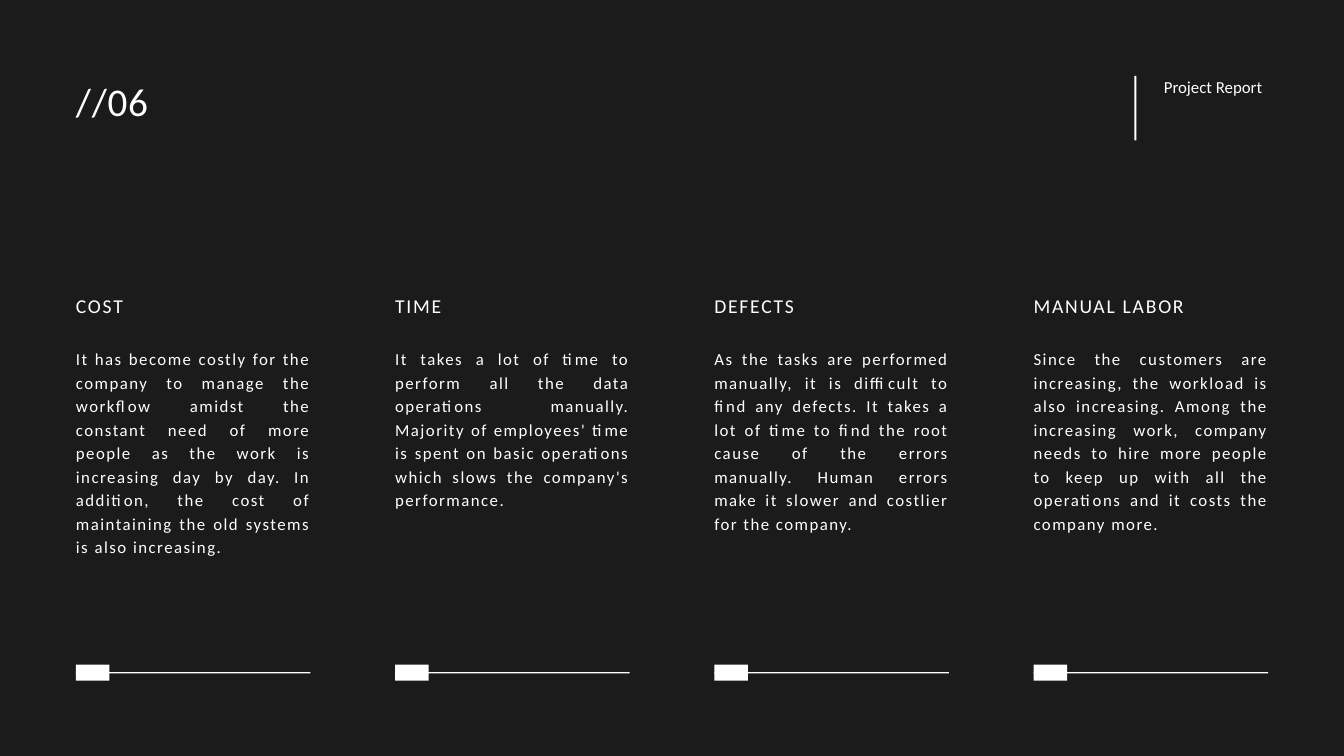
from pptx import Presentation
from pptx.dml.color import RGBColor as Rgb
from pptx.enum.shapes import MSO_SHAPE as Shape
from pptx.enum.text import MSO_ANCHOR as Anchor, MSO_AUTO_SIZE as Fit, PP_ALIGN as Align
from pptx.util import Inches, Pt

COLS = [
    ("COST", 3.51, "It has become costly for the company to manage the workflow amidst the constant need of more people as the work is increasing day by day. In addition, the cost of maintaining the old systems is also increasing."),
    ("TIME", 2.73, "It takes a lot of time to perform all the data operations manually. Majority of employees' time is spent on basic operations which slows the company's performance."),
    ("DEFECTS", 3.48, "As the tasks are performed manually, it is difficult to find any defects. It takes a lot of time to find the root cause of the errors manually. Human errors make it slower and costlier for the company."),
    ("MANUAL LABOR", 3.16, "Since the customers are increasing, the workload is also increasing. Among the increasing work, company needs to hire more people to keep up with all the operations and it costs the company more."),
]
LEFT, STEP, WIDE = 1.13, 4.75, 3.49


def color(code):
    return Rgb.from_string(code)


def apply(item, values):
    for name, value in values.items():
        setattr(item, name, value)


class Deck:
    ink, back, face, lead = "FFFFFF", "1B1B1B", "Calibri", 1.4
    frame = dict(margin_left=0, margin_right=0, margin_top=0, margin_bottom=0,
                 word_wrap=True, auto_size=Fit.NONE, vertical_anchor=Anchor.TOP)

    def __init__(self, slide):
        self.slide = slide
        fill = slide.background.fill
        fill.solid()
        fill.fore_color.rgb = color(self.back)

    def label(self, shape, text, size, gap=0, align=Align.LEFT):
        apply(shape.text_frame, self.frame)
        para = shape.text_frame.paragraphs[0]
        apply(para, dict(alignment=align, line_spacing=Pt(size * self.lead),
                         space_before=Pt(0)))
        run = para.add_run()
        run.text = text
        apply(run.font, dict(name=self.face, size=Pt(size), bold=False))
        run.font.color.rgb = color(self.ink)
        if gap:
            run._r.get_or_add_rPr().set("spc", str(round(gap * 100)))

    def title(self, box, text, size, gap):
        shape = self.slide.shapes.title
        apply(shape, dict(zip(("left", "top", "width", "height"), map(Inches, box))))
        self.label(shape, text, size, gap)

    def text(self, box, *args):
        self.label(self.slide.shapes.add_textbox(*map(Inches, box)), *args)

    def bar(self, *box):
        shape = self.slide.shapes.add_shape(Shape.RECTANGLE, *map(Inches, box))
        shape.shadow.inherit = False
        shape.fill.solid()
        shape.fill.fore_color.rgb = color(self.ink)
        shape.line.fill.background()


def main():
    prs = Presentation()
    apply(prs, dict(slide_width=Inches(20), slide_height=Inches(11.25)))
    deck = Deck(prs.slides.add_slide(prs.slide_layouts[5]))

    deck.title((LEFT, 1.04, 3.74, 0.78), "//06", 42, 0.8)
    deck.bar(16.88, 1.13, 0.03, 0.96)
    deck.text((17.32, 1.09, 1.56, 0.67), "Project Report", 18)

    for num, (head, tall, body) in enumerate(COLS):
        left = LEFT + num * STEP
        deck.bar(left, 10, WIDE, 0.02)
        deck.bar(left, 9.89, 0.5, 0.24)
        deck.text((left, 4.32, WIDE, 0.39), head, 21, 1.9)
        deck.text((left, 5.14, WIDE, tall), body, 18, 1.6, Align.JUSTIFY)

    prs.save("out.pptx")


if __name__ == "__main__":
    main()
